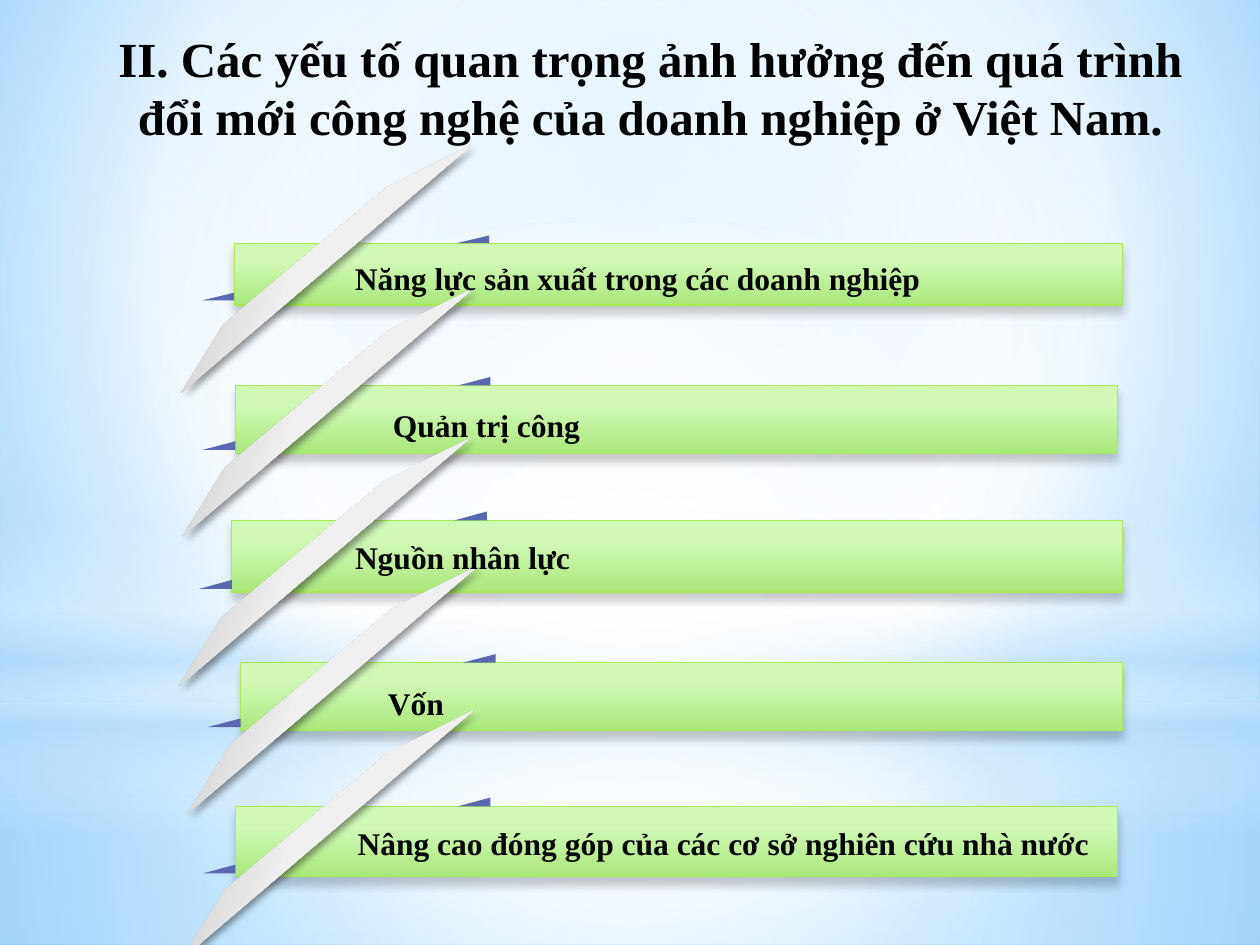
from lxml import etree
from pptx import Presentation
from pptx.dml.color import RGBColor
from pptx.enum.shapes import MSO_SHAPE as SHAPE
from pptx.enum.text import MSO_ANCHOR as ANCHOR, MSO_AUTO_SIZE as AUTO, PP_ALIGN as ALIGN
from pptx.oxml import parse_xml
from pptx.oxml.ns import nsdecls, qn
from pptx.util import Pt


def set_gradient(fill, owner, stops, angle=None, centre=None):
    """Fill with (position, colour, opacity) stops, linear or around a centre rectangle."""
    fill.gradient()
    old = next(owner.iter(qn("a:gradFill")))
    gs = "".join(
        f'<a:gs pos="{pos * 1000}"><a:srgbClr val="{color}">'
        f'<a:alpha val="{opacity * 1000}"/></a:srgbClr></a:gs>'
        for pos, color, opacity in stops)
    if centre:
        l, t, r, b = (v * 1000 for v in centre)
        kind = (f'<a:path path="circle"><a:fillToRect l="{l}" t="{t}" '
                f'r="{r}" b="{b}"/></a:path>')
    else:
        kind = f'<a:lin ang="{angle * 60000}" scaled="0"/>'
    old.getparent().replace(old, parse_xml(
        f'<a:gradFill {nsdecls("a")} rotWithShape="1"><a:gsLst>{gs}</a:gsLst>{kind}</a:gradFill>'))


def add_shadow(sp, opacity, blur, dist, angle):
    sp.shadow.inherit = False
    effects = sp.element.spPr.find(qn("a:effectLst"))
    shadow = etree.SubElement(
        effects, qn("a:outerShdw"), blurRad=str(Pt(blur)), dist=str(Pt(dist)),
        dir=str(angle * 60000), algn="tl", rotWithShape="0")
    color = etree.SubElement(shadow, qn("a:srgbClr"), val="000000")
    etree.SubElement(color, qn("a:alpha"), val=str(opacity * 1000))


prs = Presentation()
prs.slide_width, prs.slide_height = Pt(720), Pt(540)
s = prs.slides.add_slide(prs.slide_layouts[5])

# Sky-blue backdrop
MID = (50, 50, 50, 50)
set_gradient(s.background.fill, s.element,
             [(0, "9ED5FF", 100), (60, "FFFFFF", 100), (100, "5BB9FF", 100)],
             centre=(20, 10, 20, 60))
backdrop = [
    (SHAPE.RECTANGLE, 401.8, 138.2,
     [(0, "FFFFFF", 91), (37, "FFFFFF", 76), (100, "B4DCFA", 79)], None, MID),
    (SHAPE.RECTANGLE, 0, 401.8,
     [(0, "FFFFFF", 89), (48, "FFFFFF", 62), (100, "B4DCFA", 79)], None, MID),
    (SHAPE.RECTANGLE, 296.6, 180,
     [(0, "FFFFFF", 0), (29, "FFFFFF", 30), (45, "B4DCFA", 40), (55, "FFFFFF", 26),
      (65, "B4DCFA", 60), (100, "FFFFFF", 0)], 90, None),
    (SHAPE.OVAL, 126, 401.8, [(0, "FFFFFF", 100), (56, "FFFFFF", 0)], None, MID),
]
for kind, top, height, stops, angle, centre in backdrop:
    sp = s.shapes.add_shape(kind, 0, Pt(top), Pt(720), Pt(height))
    sp.shadow.inherit = False
    sp.line.fill.background()
    set_gradient(sp.fill, sp.element, stops, angle, centre)

title = s.shapes.title
s.shapes.element.append(title.element)  # in front of the backdrop
title.left, title.top, title.width, title.height = Pt(34.6), Pt(12.2), Pt(673.9), Pt(74.9)
title.text = ("II. Các yếu tố quan trọng ảnh hưởng đến quá trình "
              "đổi mới công nghệ của doanh nghiệp ở Việt Nam.")
tf = title.text_frame
for name, value in {"auto_size": AUTO.NONE, "vertical_anchor": ANCHOR.MIDDLE, "word_wrap": True,
                    "margin_left": Pt(14), "margin_right": Pt(14)}.items():
    setattr(tf, name, value)
tf.paragraphs[0].alignment = ALIGN.CENTER

# Bars: left, top, width, height, y of the ribbon's lower tip
bars = [
    (133.9, 139, 507.6, 35.3, 224.6),
    (134.6, 220.3, 504, 38.9, 306.7),
    (132.5, 297.4, 509, 41, 392.4),
    (137.5, 378.7, 504, 38.9, 465.1),
    (134.6, 460.8, 504, 40.3, 547.9),
]
RIBBON = [(0, 0), (24.5, -39.5), (117.4, -117.4), (166.3, -141.8)]
FOLD_W = 18.7
for left, top, width, height, tip_y in bars:
    group = s.shapes.add_group_shape().shapes
    bar = group.add_shape(SHAPE.RECTANGLE, Pt(left), Pt(top), Pt(width), Pt(height))
    set_gradient(bar.fill, bar.element, [(28, "D1F8B5", 100), (100, "AAE87B", 100)], 90)
    bar.line.color.rgb = RGBColor.from_string("A7EA52")
    bar.line.width = Pt(0.75)
    add_shadow(bar, 20, 5, 4, 90)

    fold_h = height / 8
    for x, y in [(left - FOLD_W, top + height - 7), (left + 127, top - fold_h)]:
        fold = group.add_shape(SHAPE.RIGHT_TRIANGLE, Pt(x), Pt(y), Pt(FOLD_W), Pt(fold_h))
        fold.element.spPr.xfrm.set("flipH", "1")
        fold.fill.solid()
        fold.fill.fore_color.rgb = RGBColor.from_string("5968B0")
        fold.line.fill.background()
        fold.shadow.inherit = False

    points = [(Pt(left - 30.5 + dx), Pt(tip_y + dy)) for dx, dy in RIBBON]
    outline = group.build_freeform(*points[0])
    outline.add_line_segments(points[1:], close=True)
    ribbon = outline.convert_to_shape()
    set_gradient(ribbon.fill, ribbon.element,
                 [(0, "B9B9B9", 100), (42, "F0F0F0", 100), (84, "F2F2F2", 100)], 20)
    ribbon.line.fill.background()
    add_shadow(ribbon, 40, 4, 3, 45)

# Labels: text, left, top, width, height, wrap, paragraph format
labels = [
    ("Năng lực sản xuất trong các doanh nghiệp", 195.8, 144.7, 424.8, 28.8, True,
     {"alignment": ALIGN.JUSTIFY, "space_after": Pt(7.5)}),
    ("Quản trị công", 217.4, 226.8, 167, 31, True,
     {"line_spacing": 1.07, "space_after": Pt(10)}),
    ("Nguồn nhân lực", 195.8, 303.8, 143.3, 28.8, False, {}),
    ("Vốn", 214.6, 385.9, 46.8, 29.5, False, {"line_spacing": 1.07, "space_after": Pt(10)}),
    ("Nâng cao đóng góp của các cơ sở nghiên cứu nhà nước", 197.3, 467.3, 444.2, 28.8, True, {}),
]
texts = [(tf.paragraphs[0], 28)]
for text, left, top, width, height, wrap, fmt in labels:
    tf = s.shapes.add_textbox(Pt(left), Pt(top), Pt(width), Pt(height)).text_frame
    tf.word_wrap = wrap
    p = tf.paragraphs[0]
    p.text = text
    for name, value in fmt.items():
        setattr(p, name, value)
    texts.append((p, 18))

for p, size in texts:
    font = p.runs[0].font
    for name, value in {"name": "Times New Roman", "size": Pt(size), "bold": True}.items():
        setattr(font, name, value)
    font.color.rgb = RGBColor.from_string("000000")

prs.save("out.pptx")
